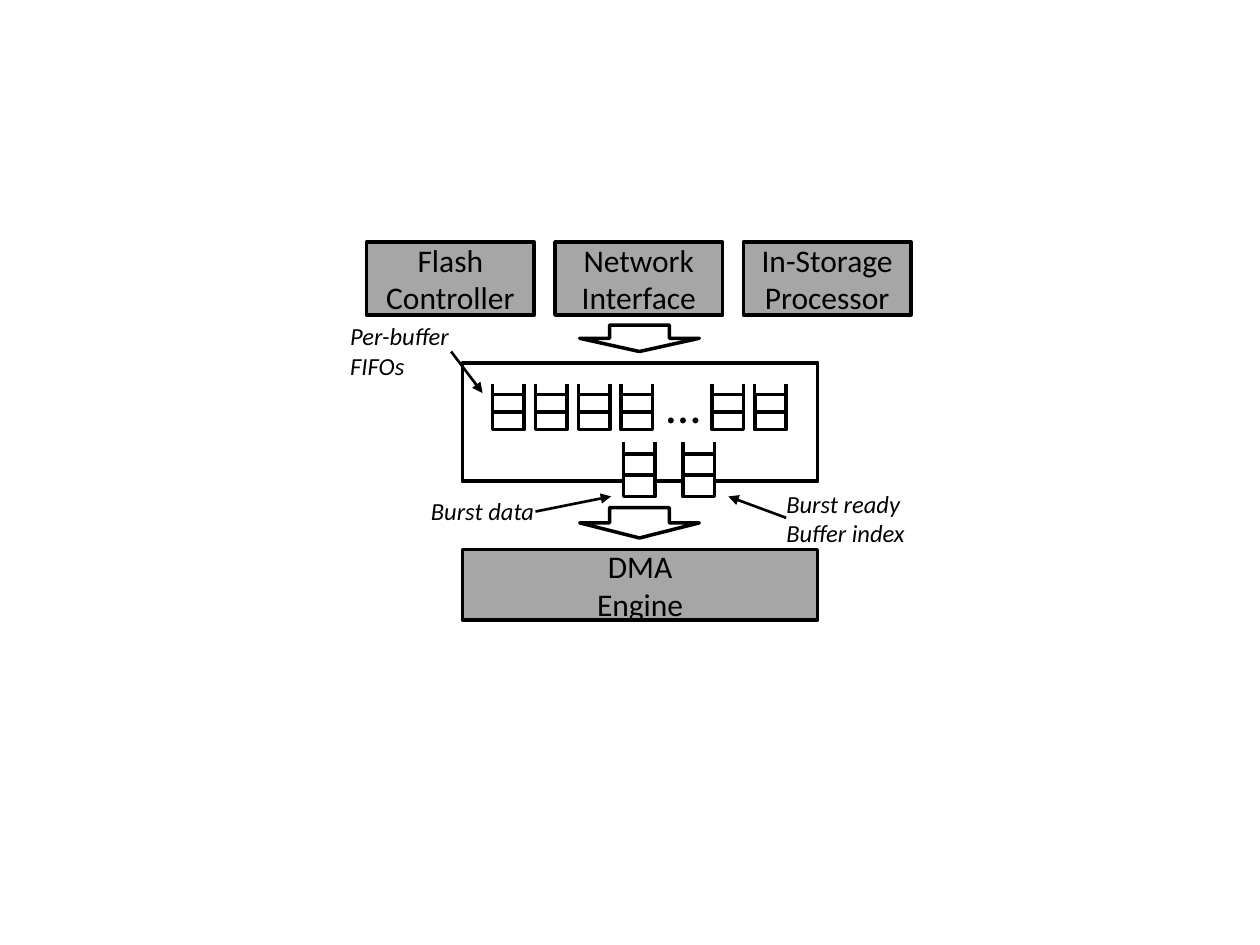
from dataclasses import dataclass

from lxml import etree
from pptx import Presentation
from pptx.dml.color import RGBColor
from pptx.enum.shapes import MSO_CONNECTOR, MSO_SHAPE
from pptx.enum.text import MSO_ANCHOR, MSO_AUTO_SIZE, PP_ALIGN
from pptx.oxml.ns import qn
from pptx.util import Inches, Pt

RECTANGLE, DOWN_ARROW = MSO_SHAPE.RECTANGLE, MSO_SHAPE.DOWN_ARROW
STRAIGHT = MSO_CONNECTOR.STRAIGHT
LEFT, CENTER = PP_ALIGN.LEFT, PP_ALIGN.CENTER
TOP, MIDDLE = MSO_ANCHOR.TOP, MSO_ANCHOR.MIDDLE
FIT_SHAPE = MSO_AUTO_SIZE.SHAPE_TO_FIT_TEXT


@dataclass(frozen=True)
class Theme:
    ink: RGBColor = RGBColor(0, 0, 0)
    paper: RGBColor = RGBColor(255, 255, 255)
    module: RGBColor = RGBColor(0xA6, 0xA6, 0xA6)
    font: str = "Calibri"
    module_size: int = 18
    note_size: int = 14
    ellipsis_size: int = 28
    outline: float = 2
    pointer: float = 1.5


THEME = Theme()


def write_text(shape, text, size=THEME.module_size, italic=False, align=LEFT, anchor=TOP):
    frame = shape.text_frame
    frame.vertical_anchor = anchor
    for index, line in enumerate(text.split("\n")):
        para = frame.paragraphs[0] if index == 0 else frame.add_paragraph()
        para.alignment = align
        span = para.add_run()
        span.text = line
        span.font.name = THEME.font
        span.font.size = Pt(size)
        span.font.italic = italic
        span.font.color.rgb = THEME.ink


def add_box(page, box, fill=None, kind=RECTANGLE):
    shape = page.shapes.add_shape(kind, *map(Inches, box))
    shape.shadow.inherit = False
    if fill is None:
        shape.fill.background()
    else:
        shape.fill.solid()
        shape.fill.fore_color.rgb = fill
    shape.line.color.rgb = THEME.ink
    shape.line.width = Pt(THEME.outline)
    return shape


def add_line(page, start, end, width=THEME.outline, arrow=False):
    line = page.shapes.add_connector(STRAIGHT, *map(Inches, (*start, *end)))
    line.line.color.rgb = THEME.ink
    line.line.width = Pt(width)
    if arrow:
        head = etree.SubElement(line.line._get_or_add_ln(), qn("a:tailEnd"))
        head.set("type", "triangle")
    etree.SubElement(line._element.spPr, qn("a:effectLst"))


def add_label(page, box, text, size=THEME.note_size, italic=True, inset=0):
    label = page.shapes.add_textbox(*map(Inches, box))
    frame = label.text_frame
    frame.word_wrap = False
    frame.auto_size = FIT_SHAPE
    if inset == 0:
        frame.margin_left = frame.margin_right = 0
        frame.margin_top = frame.margin_bottom = 0
    write_text(label, text, size=size, italic=italic)


def add_module(page, box, text):
    write_text(add_box(page, box, THEME.module), text, align=CENTER, anchor=MIDDLE)


def add_fifo(page, box):
    """Two stacked cells under an open top, with side walls."""
    left, top, width, height = box
    cell = height * 0.39
    for row in (1, 2):
        add_box(page, (left, top + height - row * cell, width, cell), THEME.paper)
    for wall in (left, left + width):
        add_line(page, (wall, top + height * 0.75), (wall, top))


def add_sources(page, box):
    left, top, width, height = box
    module_width = 1.33
    step = (width - module_width) / 2
    names = ("Flash\nController", "Network\nInterface", "In-Storage\nProcessor")
    for index, name in enumerate(names):
        add_module(page, (left + index * step, top, module_width, height), name)


def add_buffers(page, box):
    left, top, width, height = box
    add_box(page, box)
    # Row of per-buffer FIFOs, with a gap for the ellipsis
    fifo_width, pitch = 0.25, 0.34
    first_run = [0.24 + pitch * index for index in range(4)]
    last_run = [1.98 + pitch * index for index in range(2)]
    for offset in first_run + last_run:
        add_fifo(page, (left + offset, top + 0.17, fifo_width, 0.36))
    add_label(page, (left + 1.52, top + 0.04, 0.47, 0.57), "…",
              size=THEME.ellipsis_size, italic=False, inset=None)
    # Output FIFOs across the lower edge
    for offset in (1.28, 1.75):
        add_fifo(page, (left + offset, top + height - 0.31, fifo_width, 0.43))


def add_note(page, box, text, start, end):
    """Label with a pointer; start and end are offsets from the label corner."""
    left, top = box[:2]
    add_label(page, box, text)
    add_line(page, (left + start[0], top + start[1]), (left + end[0], top + end[1]),
             width=THEME.pointer, arrow=True)


deck = Presentation()
deck.slide_width, deck.slide_height = Inches(10), Inches(7.5)
page = deck.slides.add_slide(deck.slide_layouts[6])

# Data path, top to bottom
add_sources(page, (2.91, 1.92, 4.32, 0.58))
add_buffers(page, (3.67, 2.88, 2.82, 0.94))
add_module(page, (3.67, 4.36, 2.82, 0.56), "DMA\nEngine")
for top, height in ((2.58, 0.21), (4.03, 0.24)):
    add_box(page, (4.6, top, 0.95, height), THEME.paper, DOWN_ARROW)

# Notes with pointers
add_note(page, (6.24, 3.88, 0.95, 0.47), "Burst ready\nBuffer index", (0, 0.23), (-0.46, 0.06))
add_note(page, (3.42, 3.94, 0.83, 0.24), "Burst data", (0.83, 0.12), (1.43, 0))
add_note(page, (2.78, 2.55, 0.8, 0.47), "Per-buffer\nFIFOs", (0.8, 0.24), (1.05, 0.57))

deck.save("out.pptx")
